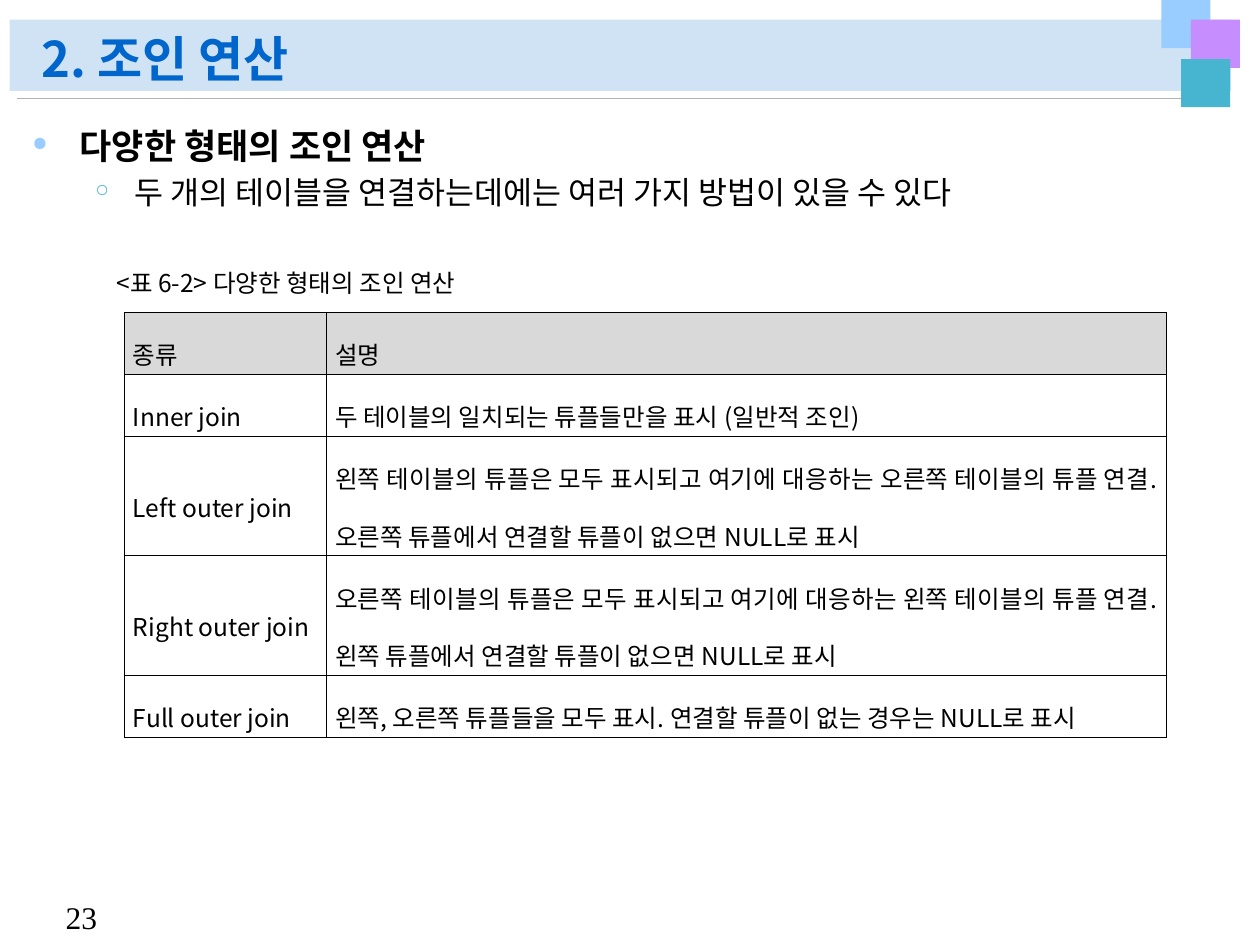
import pptx
import pptx.dml.color
import pptx.enum.shapes
import pptx.enum.text
import pptx.oxml
import pptx.oxml.ns
import pptx.util

Pt = pptx.util.Pt
ALIGN = pptx.enum.text.PP_ALIGN
ANCHOR = pptx.enum.text.MSO_ANCHOR
AUTO = pptx.enum.text.MSO_AUTO_SIZE
FONT = "Noto Sans CJK KR"
ROWS = [
    ("종류", "설명"),
    ("Inner join", "두 테이블의 일치되는 튜플들만을 표시 (일반적 조인)"),
    ("Left outer join", "왼쪽 테이블의 튜플은 모두 표시되고 여기에 대응하는 오른쪽 테이블의 튜플 연결. "
                        "오른쪽 튜플에서 연결할 튜플이 없으면 NULL로 표시"),
    ("Right outer join", "오른쪽 테이블의 튜플은 모두 표시되고 여기에 대응하는 왼쪽 테이블의 튜플 연결. "
                         "왼쪽 튜플에서 연결할 튜플이 없으면 NULL로 표시"),
    ("Full outer join", "왼쪽, 오른쪽 튜플들을 모두 표시. 연결할 튜플이 없는 경우는 NULL로 표시"),
]


def rgb(value):
    """Return the colour for a hex string."""
    return pptx.dml.color.RGBColor.from_string(value)


def add_element(parent, tag, **attributes):
    """Append a DrawingML element and return it."""
    element = pptx.oxml.parse_xml(f"<a:{tag} {pptx.oxml.ns.nsdecls('a')}/>")
    for name, value in attributes.items():
        element.set(name, str(value))
    parent.append(element)
    return element


def add_run(p, text, size, color="000000", bold=False, font=FONT):
    """Add one formatted run to a paragraph."""
    r = p.add_run()
    r.text = text
    r.font.size = Pt(size)
    r.font.bold = bold
    r.font.name = font
    r.font.color.rgb = rgb(color)


def add_rect(s, box, color):
    """Add a plain filled rectangle."""
    sp = s.shapes.add_shape(pptx.enum.shapes.MSO_SHAPE.RECTANGLE, *map(Pt, box))
    sp.shadow.inherit = False
    sp.fill.solid()
    sp.fill.fore_color.rgb = rgb(color)
    sp.line.fill.background()


def add_text(s, box, wrap=True, auto_size=AUTO.NONE):
    """Add an empty text box and return its text frame."""
    tf = s.shapes.add_textbox(*map(Pt, box)).text_frame
    tf.word_wrap = wrap
    tf.auto_size = auto_size
    return tf


def add_header(s, left, top, width, height):
    """Place the title band, rule and corner squares."""
    add_rect(s, (left, top, width, height), "D0E3F5")
    right = left + width
    y = top + height + 4
    line = s.shapes.add_connector(pptx.enum.shapes.MSO_CONNECTOR.STRAIGHT,
                                  Pt(right - 2), Pt(y), Pt(left + 4.5), Pt(y))
    line.line.color.rgb = rgb("B2B2B2")
    line.line.width = Pt(0.5)
    add_element(line._element.spPr, "effectLst")
    for dx, y, color in ((-39.8, 0, "99CCFF"), (-23, 11.3, "C68DFF"), (-28.5, 33.8, "47B5CF")):
        add_rect(s, (right + dx, y, 28, 27.5), color)


def add_title(s, box, text):
    """Move and format the title placeholder, in front of the header."""
    sp = s.shapes.title
    s.shapes._spTree.append(sp._element)
    sp.left, sp.top, sp.width, sp.height = map(Pt, box)
    tf = sp.text_frame
    tf.vertical_anchor = ANCHOR.BOTTOM
    tf.auto_size = AUTO.NONE
    p = tf.paragraphs[0]
    p.alignment = ALIGN.LEFT
    p.line_spacing = 0.9
    add_run(p, text, 28, "0066CC", True)


def add_body(s, box):
    """Place the two-level bulleted text."""
    tf = add_text(s, box)
    items = (
        ("다양한 형태의 조인 연산", 20, True, "●", "99CCFF", 27, 27),
        ("두 개의 테이블을 연결하는데에는 여러 가지 방법이 있을 수 있다",
         18, False, "○", "47B5CF", 58.5, 22.5),
    )
    for level, (text, size, bold, bullet, color, margin, hang) in enumerate(items):
        p = tf.add_paragraph() if level else tf.paragraphs[0]
        p.level = level
        p.space_before = Pt(size * 0.2)
        pPr = p._p.get_or_add_pPr()
        pPr.set("marL", str(Pt(margin)))
        pPr.set("indent", str(-Pt(hang)))
        add_element(add_element(pPr, "buClr"), "srgbClr", val=color)
        add_element(pPr, "buSzPct", val=55000)
        add_element(pPr, "buChar", char=bullet)
        add_run(p, text, size, bold=bold)


def add_justified(p, text):
    """Fill a paragraph of the table or its caption."""
    p.alignment = ALIGN.JUSTIFY
    p.line_spacing = 1.6
    add_run(p, text, 14)


def format_cell(cell, text, fill):
    """Set the text, fill and borders of a table cell."""
    cell.vertical_anchor = ANCHOR.MIDDLE
    cell.margin_left = cell.margin_right = Pt(5)
    cell.margin_top = cell.margin_bottom = Pt(1.4)
    add_justified(cell.text_frame.paragraphs[0], text)
    tcPr = cell._tc.get_or_add_tcPr()
    for side in "LRTB":
        border = add_element(tcPr, f"ln{side}", w=Pt(0.28))
        add_element(add_element(border, "solidFill"), "srgbClr", val="000000")
    if fill:
        cell.fill.solid()
        cell.fill.fore_color.rgb = rgb(fill)
    else:
        cell.fill.background()


def add_join_table(s, left, top, width, height):
    """Place the table of join types."""
    frame = s.shapes.add_table(len(ROWS), 2, *map(Pt, (left, top, width, height)))
    table = frame.table
    table.first_row = table.horz_banding = False
    for col, w in zip(table.columns, (115.5, width - 115.5)):
        col.width = Pt(w)
    single = 35.4
    double = (height - 3 * single) / 2
    for row, h in zip(table.rows, (single, single, double, double, single)):
        row.height = Pt(h)
    for i, texts in enumerate(ROWS):
        for j, text in enumerate(texts):
            format_cell(table.cell(i, j), text, None if i else "D9D9D9")


def add_caption(s, box):
    """Place the table caption."""
    tf = add_text(s, box, auto_size=AUTO.SHAPE_TO_FIT_TEXT)
    add_justified(tf.paragraphs[0], "<표 6-2> 다양한 형태의 조인 연산")


def add_page_number(s, box):
    """Place the page number."""
    tf = add_text(s, box, False, AUTO.SHAPE_TO_FIT_TEXT)
    add_run(tf.paragraphs[0], "23", 18, font="Times New Roman")


def main():
    """Build and save the slide."""
    prs = pptx.Presentation()
    prs.slide_width, prs.slide_height = Pt(720), Pt(540)
    s = prs.slides.add_slide(prs.slide_layouts[5])
    add_header(s, 5.5, 11.3, 698, 40.7)
    add_page_number(s, (30.5, 509.5, 36, 29))
    add_title(s, (16.5, 12.5, 646.5, 41.5), "2. 조인 연산")
    add_body(s, (11.5, 67.5, 692, 433.5))
    add_join_table(s, 71, 178.5, 595.5, 242.2)
    add_caption(s, (59.5, 139.5, 360, 31))
    prs.save("out.pptx")


if __name__ == "__main__":
    main()
